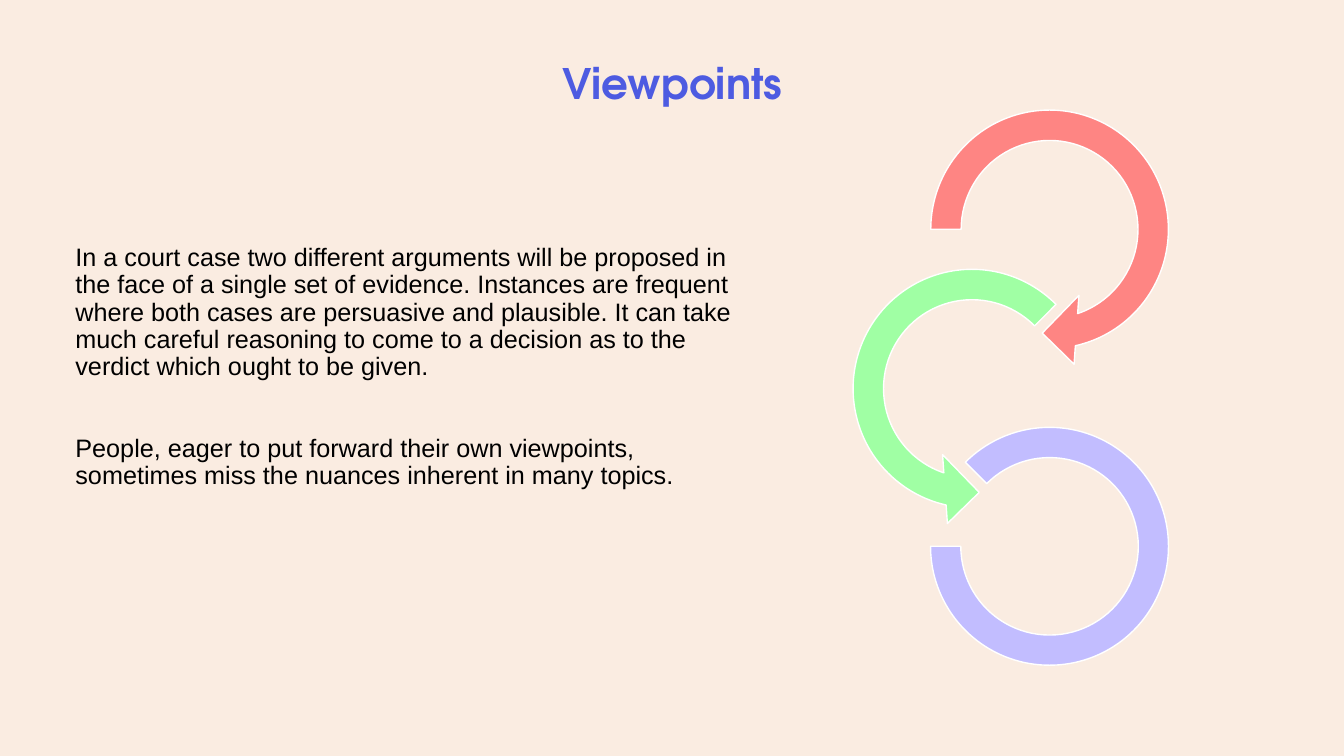
"""Build the Viewpoints slide with its chain of three circular arrows."""
from dataclasses import dataclass

from pptx import Presentation
from pptx.dml.color import RGBColor
from pptx.enum.shapes import MSO_SHAPE
from pptx.enum.text import MSO_ANCHOR, PP_ALIGN
from pptx.util import Inches, Pt


@dataclass(frozen=True)
class Theme:
    background: str = "FAECE1"
    title: str = "4D5BE1"
    body: str = "000000"
    outline: str = "FFFFFF"
    red: str = "FE8583"
    green: str = "A0FFA4"
    lilac: str = "C2BDFF"
    title_font: str = "TeX Gyre Adventor"
    body_font: str = "Arial"
    title_size: int = 30
    body_size: int = 18


def style_paragraph(paragraph, font_name, size, color):
    paragraph.line_spacing = 0.9
    for run in paragraph.runs:
        run.font.name = font_name
        run.font.size = Pt(size)
        run.font.color.rgb = RGBColor.from_string(color)


theme = Theme()
presentation = Presentation()
presentation.slide_width = Inches(13.33)
presentation.slide_height = Inches(7.5)
slide = presentation.slides.add_slide(presentation.slide_layouts[6])
slide.background.fill.solid()
slide.background.fill.fore_color.rgb = RGBColor.from_string(theme.background)

title = slide.shapes.add_textbox(Inches(0.92), Inches(0.4), Inches(11.5), Inches(1.45)).text_frame
title.word_wrap = True
title.vertical_anchor = MSO_ANCHOR.MIDDLE
title.margin_bottom = Inches(0.6)
title.text = "Viewpoints"
heading = title.paragraphs[0]
heading.alignment = PP_ALIGN.CENTER
style_paragraph(heading, theme.title_font, theme.title_size, theme.title)
heading.runs[0].font.bold = True

arguments = [
    ("In a court case two different arguments will be proposed in the face of a single set of "
     "evidence. Instances are frequent where both cases are persuasive and plausible. It can take "
     "much careful reasoning to come to a decision as to the verdict which ought to be given.", 10),
    ("People, eager to put forward their own viewpoints, sometimes miss the nuances inherent in "
     "many topics.", 39),
]
body = slide.shapes.add_textbox(Inches(0.65), Inches(2.38), Inches(6.94), Inches(3.1)).text_frame
body.word_wrap = True
body.text = "\n".join(text for text, _ in arguments)
for paragraph, (_, space_before) in zip(body.paragraphs, arguments):
    paragraph.space_before = Pt(space_before)
    style_paragraph(paragraph, theme.body_font, theme.body_size, theme.body)

links = [
    (MSO_SHAPE.CIRCULAR_ARROW, 9.04, 0.9, 2.74, 2.75, theme.red, (0.11, 11.423, 45, 108, 0.125)),
    (MSO_SHAPE.LEFT_CIRCULAR_ARROW, 8.27, 2.48, 2.74, 2.75, theme.green,
     (0.11, 11.423, 63, 189, 0.125)),
    (MSO_SHAPE.BLOCK_ARC, 9.23, 4.24, 2.36, 2.36, theme.lilac, (135, 108, 0.127)),
]
for preset, left, top, width, height, color, adjustments in links:
    link = slide.shapes.add_shape(preset, Inches(left), Inches(top), Inches(width), Inches(height))
    link.shadow.inherit = False
    link.fill.solid()
    link.fill.fore_color.rgb = RGBColor.from_string(color)
    link.line.color.rgb = RGBColor.from_string(theme.outline)
    link.line.width = Pt(1)
    for index, value in enumerate(adjustments):
        link.adjustments[index] = value

presentation.save("out.pptx")
